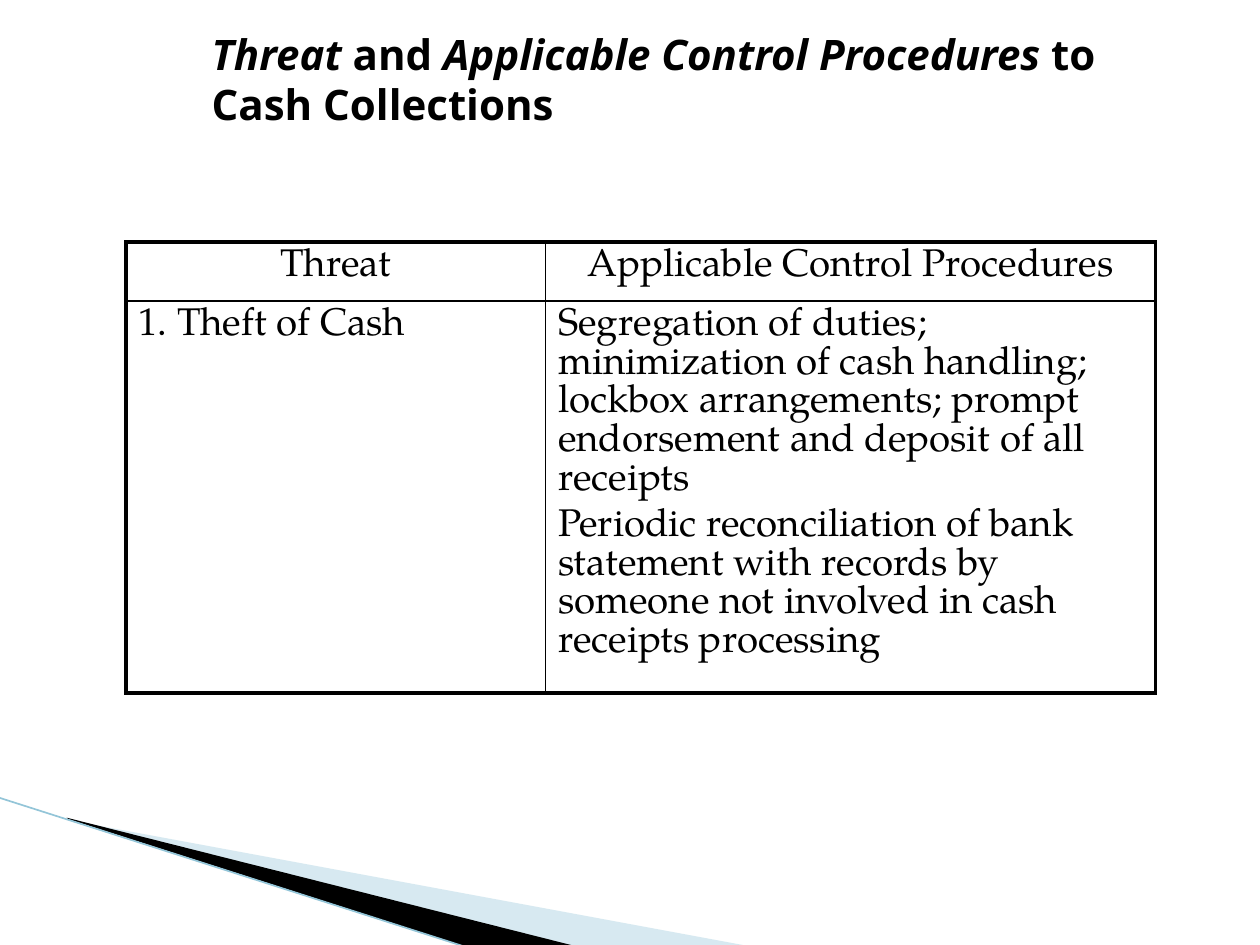
from lxml.etree import SubElement
from pptx import Presentation
from pptx.dml.color import RGBColor
from pptx.enum.text import MSO_ANCHOR, MSO_AUTO_SIZE, PP_ALIGN
from pptx.oxml.ns import qn
from pptx.util import Inches, Pt

COLORS = {"ink": "000000", "pale": "9CCADC", "edge": "93C5D8"}
RGB = {name: RGBColor.from_string(value) for name, value in COLORS.items()}
THICK, THIN = Pt(2.25), Pt(1)

deck = Presentation()
deck.slide_width, deck.slide_height = Inches(10), Inches(7.5)
page = deck.slides.add_slide(deck.slide_layouts[5])


def add_wedge(points, color):
    corners = [(Inches(x), Inches(y)) for x, y in points]
    builder = page.shapes.build_freeform(*corners[0])
    builder.add_line_segments(corners[1:], close=True)
    wedge = builder.convert_to_shape()
    wedge.shadow.inherit = False
    wedge.fill.solid()
    wedge.fill.fore_color.rgb = RGB[color]
    wedge.line.fill.background()
    return wedge


def set_border(cell, side, width):
    line = SubElement(cell._tc.get_or_add_tcPr(), qn(f"a:{side}"), w=str(width))
    fill = SubElement(line, qn("a:solidFill"))
    SubElement(fill, qn("a:srgbClr"), val=COLORS["ink"])


# Corner decoration
pale_wedge = add_wedge([(0.55, 6.51), (5.95, 7.51), (4.56, 7.51), (0.55, 6.5)], "pale")
pale_color = pale_wedge.fill._xPr.find(qn("a:solidFill"))[0]
SubElement(pale_color, qn("a:alpha"), val="40000")
add_wedge([(0.53, 6.49), (4.57, 7.51), (3.72, 7.52), (0.54, 6.5)], "ink")
edge = page.shapes.add_connector(1, Inches(-0.01), Inches(6.33), Inches(3.71), Inches(7.52))
edge.line.color.rgb = RGB["edge"]
edge.line.width = Pt(0.95)
SubElement(edge._element.spPr, qn("a:effectLst"))

# Title
title = page.shapes.title
title.left, title.top, title.width, title.height = map(Inches, (1.58, 0, 9, 1.25))
frame = title.text_frame
frame.word_wrap = True
frame.auto_size = MSO_AUTO_SIZE.NONE
frame.vertical_anchor = MSO_ANCHOR.MIDDLE
heading = frame.paragraphs[0]
heading.alignment = PP_ALIGN.LEFT
heading.font.name, heading.font.size, heading.font.bold = "Noto Sans", Pt(24), True
heading.font.color.rgb = RGB["ink"]
for text, italic in (("Threat ", True), ("and ", False),
                     ("Applicable Control Procedures ", True), ("to ", False)):
    span = heading.add_run()
    span.text, span.font.italic = text, italic
heading.add_line_break()
heading.add_run().text = "Cash Collections"

# Table of threats and controls
rows = [
    [["Threat"], ["Applicable Control Procedures"]],
    [["1. Theft of Cash"],
     ["Segregation of duties; minimization of cash handling; lockbox arrangements; "
      "prompt endorsement and deposit of all receipts",
      "Periodic reconciliation of bank statement with records by someone "
      "not involved in cash receipts processing"]],
]
table = page.shapes.add_table(2, 2, Inches(1), Inches(1.92), Inches(8.17), Inches(3.58)).table
table.first_row = table.horz_banding = False
for column, width in zip(table.columns, (3.33, 4.84)):
    column.width = Inches(width)
for row, height in zip(table.rows, (0.47, 3.11)):
    row.height = Inches(height)

for r, row in enumerate(rows):
    for c, texts in enumerate(row):
        cell = table.cell(r, c)
        cell.text = "\n".join(texts)
        for i, paragraph in enumerate(cell.text_frame.paragraphs):
            paragraph.alignment = PP_ALIGN.CENTER if r == 0 else PP_ALIGN.LEFT
            paragraph.line_spacing = Pt(22.1)
            if i:
                paragraph.space_before = Pt(4.4)
            paragraph.font.name, paragraph.font.size = "TeX Gyre Pagella", Pt(22)
            paragraph.font.color.rgb = RGB["ink"]
        outer = {"lnL": c == 0, "lnR": c == 1, "lnT": r == 0, "lnB": r == 1}
        for side, is_outer in outer.items():
            set_border(cell, side, THICK if is_outer else THIN)
        cell.fill.background()

numbered = table.cell(1, 0).text_frame.paragraphs[0]._p.get_or_add_pPr()
numbered.set("marL", str(Inches(0.54)))
numbered.set("indent", str(Inches(-0.54)))

deck.save("out.pptx")
